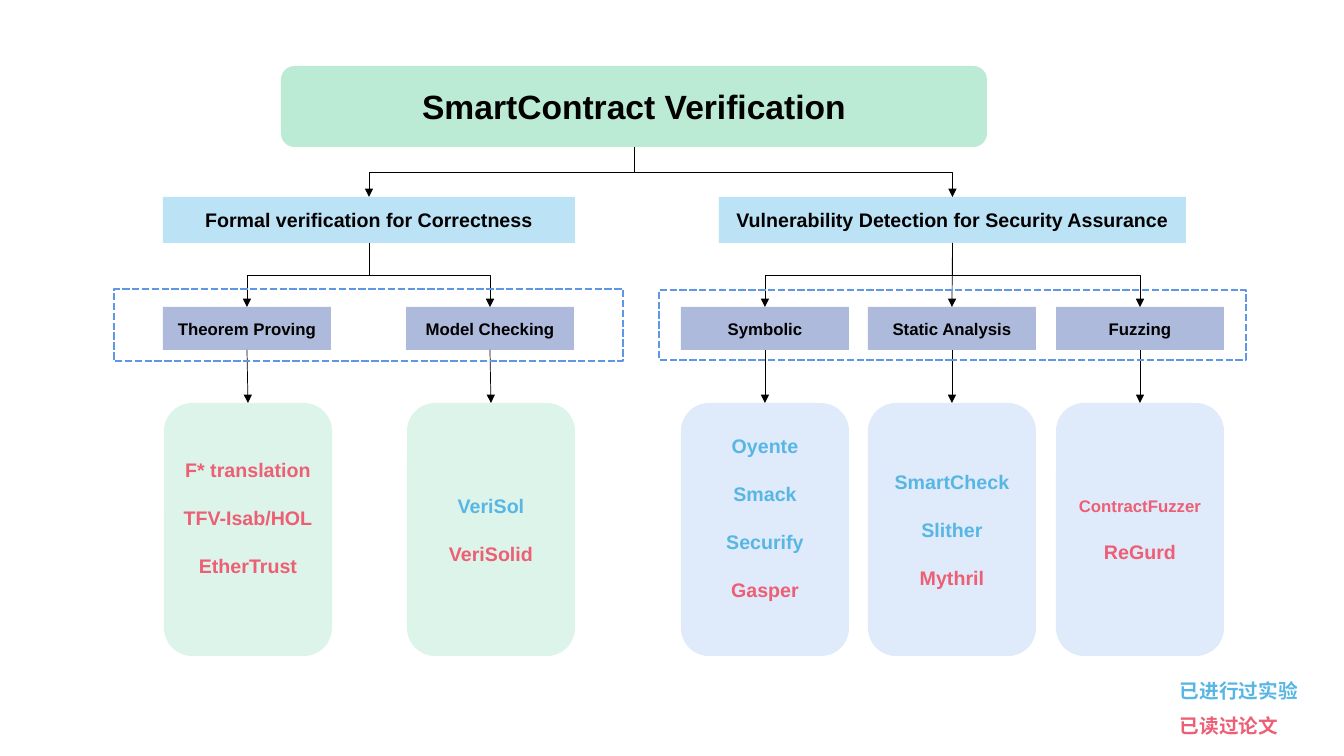
from pptx import Presentation
from pptx.dml.color import RGBColor
from pptx.enum.dml import MSO_LINE
from pptx.enum.shapes import MSO_CONNECTOR, MSO_SHAPE
from pptx.enum.text import MSO_ANCHOR, PP_ALIGN
from pptx.oxml.ns import qn
from pptx.util import Pt
from lxml.etree import SubElement

BLACK = RGBColor(0x00, 0x00, 0x00)
GREEN = RGBColor(0xBB, 0xEA, 0xD5)
SKY = RGBColor(0xBC, 0xE2, 0xF5)
LILAC = RGBColor(0xAE, 0xBA, 0xDC)
MINT = RGBColor(0xDD, 0xF4, 0xEA)
ICE = RGBColor(0xDF, 0xEA, 0xFA)
DASH = RGBColor(0x60, 0x96, 0xE6)
BLUE = RGBColor(0x58, 0xB6, 0xE5)
PINK = RGBColor(0xEC, 0x5F, 0x74)

SCALE = 12192000 / 1344


def px(num):
    return round(num * SCALE)


class Board:
    font = "Arial"
    gap = Pt(17.5)

    def __init__(self, deck):
        self.slide = deck.slides.add_slide(deck.slide_layouts[6])
        self.shapes = self.slide.shapes

    def label(self, para, text, size, color):
        run = para.add_run()
        run.text = text
        run.font.name = self.font
        run.font.size = Pt(size)
        run.font.bold = True
        run.font.color.rgb = color

    def box(self, rect, fill, rows=(), kind=MSO_SHAPE.RECTANGLE, tail=0):
        shape = self.shapes.add_shape(kind, *map(px, rect))
        shape.shadow.inherit = False
        shape.fill.solid()
        shape.fill.fore_color.rgb = fill
        shape.line.fill.background()
        frame = shape.text_frame
        frame.word_wrap = True
        frame.vertical_anchor = MSO_ANCHOR.MIDDLE
        frame.margin_bottom = px(5 + tail)
        for i, row in enumerate(rows):
            para = frame.add_paragraph() if i else frame.paragraphs[0]
            para.alignment = PP_ALIGN.CENTER
            if i:
                para.space_before = self.gap
            self.label(para, *row)
        return shape

    def frame(self, rect):
        shape = self.shapes.add_shape(MSO_SHAPE.RECTANGLE, *map(px, rect))
        shape.shadow.inherit = False
        shape.fill.background()
        shape.line.color.rgb = DASH
        shape.line.width = Pt(1.75)
        shape.line.dash_style = MSO_LINE.SQUARE_DOT

    def legend(self, rect, rows):
        frame = self.shapes.add_textbox(*map(px, rect)).text_frame
        frame.word_wrap = False
        for i, row in enumerate(rows):
            para = frame.add_paragraph() if i else frame.paragraphs[0]
            para.line_spacing = 1.5
            self.label(para, *row)

    def wire(self, kind, *ends):
        line = self.shapes.add_connector(kind, *map(round, ends))
        line.line.color.rgb = BLACK
        line.line.width = Pt(0.5)
        props = line._element.spPr
        SubElement(props.find(qn("a:ln")), qn("a:tailEnd"), type="triangle")
        SubElement(props, qn("a:effectLst"))
        return line

    def arrow(self, top, low):
        line = self.wire(MSO_CONNECTOR.STRAIGHT, 0, 0, 0, 0)
        line.begin_connect(top, 2)
        line.end_connect(low, 0)

    def elbow(self, top, low):
        x1, x2 = (s.left + s.width / 2 for s in (top, low))
        y1, y2 = top.top + top.height, low.top
        midx, midy = (x1 + x2) / 2, (y1 + y2) / 2
        run, rise = (x2 - x1) / 2, (y2 - y1) / 2
        line = self.wire(MSO_CONNECTOR.ELBOW, midx - rise, midy + run,
                         midx + rise, midy - run)
        line._element.spPr.find(qn("a:xfrm")).set("rot", "5400000")


GROUPS = [
    ("Formal verification for Correctness", (163, 197, 412, 46), MINT, 1, [
        ("Theorem Proving", 163, 23,
         [("F* translation", 14, PINK), ("TFV-Isab/HOL", 14, PINK),
          ("EtherTrust", 14, PINK)]),
        ("Model Checking", 406, 0,
         [("VeriSol", 14, BLUE), ("VeriSolid", 14, PINK)]),
    ]),
    ("Vulnerability Detection for Security Assurance",
     (719, 197, 467, 46), ICE, 0, [
         ("Symbolic", 681, 23,
          [("Oyente", 14, BLUE), ("Smack", 14, BLUE),
           ("Securify", 14, BLUE), ("Gasper", 14, PINK)]),
         ("Static Analysis", 868, 0,
          [("SmartCheck", 14, BLUE), ("Slither", 14, BLUE),
           ("Mythril", 14, PINK)]),
         ("Fuzzing", 1056, 0,
          [("ContractFuzzer", 12, PINK), ("ReGurd", 14, PINK)]),
     ]),
]


def main():
    deck = Presentation()
    deck.slide_width, deck.slide_height = px(1344), px(756)
    board = Board(deck)
    title = board.box((281, 66, 706, 81), GREEN,
                      [("SmartContract Verification", 24, BLACK)],
                      MSO_SHAPE.ROUNDED_RECTANGLE)
    for name, rect, tint, shift, kids in GROUPS:
        head = board.box(rect, SKY, [(name, 14, BLACK)])
        board.elbow(title, head)
        for topic, left, tail, tools in kids:
            kid = board.box((left, 307, 168, 43), LILAC, [(topic, 12, BLACK)])
            card = board.box((left + shift, 403, 168, 253), tint, tools,
                             MSO_SHAPE.ROUNDED_RECTANGLE, tail)
            if topic == "Static Analysis":
                board.arrow(head, kid)
            else:
                board.elbow(head, kid)
            board.arrow(kid, card)
    board.legend((1170, 662, 138, 82),
                 [("已进行过实验", 14, BLUE), ("已读过论文", 14, PINK)])
    board.frame((114, 289, 509, 72))
    board.frame((659, 290, 587, 70))
    deck.save("out.pptx")


if __name__ == "__main__":
    main()
